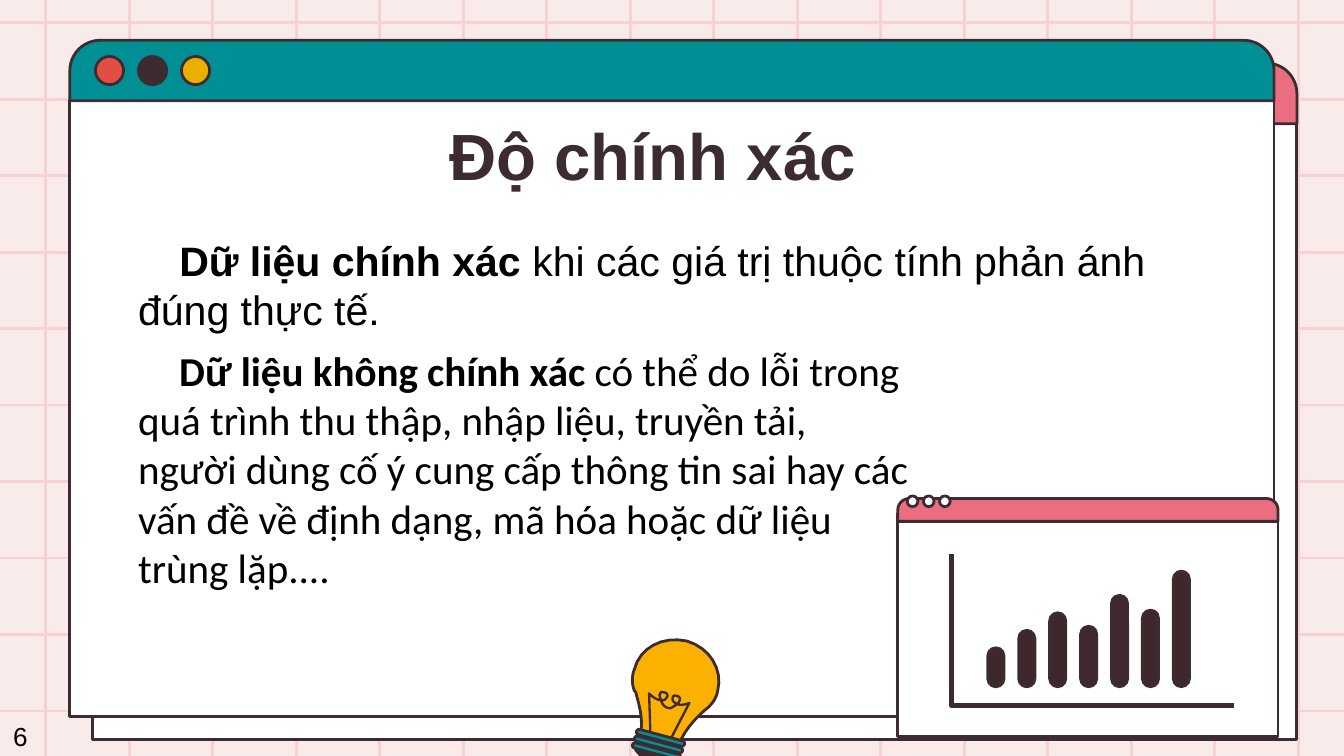
import pptx
import pptx.dml.color
import pptx.enum.shapes
import pptx.enum.text
import pptx.oxml.ns
import pptx.util
from lxml import etree
from pptx.util import Inches

RGBColor = pptx.dml.color.RGBColor
Preset = pptx.enum.shapes.MSO_SHAPE
BLACK = RGBColor(0x00, 0x00, 0x00)
WHITE = RGBColor(0xFF, 0xFF, 0xFF)
BLUSH = RGBColor(0xFA, 0xEB, 0xEB)
GRID_PINK = RGBColor(0xF8, 0xD2, 0xD2)
PINK = RGBColor(0xEB, 0x6E, 0x80)
TEAL = RGBColor(0x00, 0x8F, 0x95)
BAND_TEAL = RGBColor(0x00, 0x90, 0x96)
RED = RGBColor(0xE2, 0x4E, 0x42)
YELLOW = RGBColor(0xE9, 0xB0, 0x00)
BULB_YELLOW = RGBColor(0xFC, 0xB1, 0x00)
OUTLINE = RGBColor(0x3C, 0x2C, 0x31)
DARK = RGBColor(0x3E, 0x28, 0x2C)

WIDTH = 10
HEIGHT = WIDTH * 9 / 16
BAR_HEIGHTS = [0.29, 0.42, 0.55, 0.45, 0.68, 0.57, 0.86]
BULB_GLASS = [
    (5.34, 5.14), (5.38, 4.98, 5.28, 4.82, 5.11, 4.77),
    (4.93, 4.73, 4.76, 4.82, 4.72, 4.98), (4.7, 5.03, 4.7, 5.09, 4.72, 5.14),
    (4.73, 5.15), (4.74, 5.2, 4.8, 5.36, 4.76, 5.48), (5.05, 5.55),
    (5.09, 5.41, 5.25, 5.28, 5.25, 5.28), (5.29, 5.25, 5.33, 5.2, 5.34, 5.14),
]
BULB_SCREW = [
    (4.89, 5.48), (4.77, 5.45), (4.73, 5.58), (4.8, 5.66),
    (4.93, 5.7), (5.03, 5.66), (5.07, 5.53),
]
FILAMENT = [
    (4.84, 5.46), (4.83, 5.16), (4.84, 5.17, 4.88, 5.21, 4.92, 5.21),
    (4.94, 5.21, 4.95, 5.21, 4.96, 5.19), (4.97, 5.18, 4.97, 5.17, 4.96, 5.16),
    (4.95, 5.15, 4.93, 5.15, 4.92, 5.15), (4.91, 5.16, 4.9, 5.17, 4.92, 5.21),
    (4.93, 5.26, 4.97, 5.27, 4.99, 5.27), (5.01, 5.26, 5.02, 5.25, 5.04, 5.24),
    (5.05, 5.23, 5.06, 5.21, 5.06, 5.2), (5.06, 5.19, 5.05, 5.18, 5.04, 5.18),
    (5.02, 5.17, 5.01, 5.18, 5.01, 5.18), (5, 5.2, 5, 5.22, 5.04, 5.24),
    (5.07, 5.25, 5.11, 5.24, 5.13, 5.23), (4.99, 5.5),
]


def style_shape(shape, fill, line_width=1.5):
    """Apply a flat fill, or none, and the dark outline."""
    shape.shadow.inherit = False
    if fill is None:
        shape.fill.background()
    else:
        shape.fill.solid()
        shape.fill.fore_color.rgb = fill
    shape.line.color.rgb = OUTLINE
    shape.line.width = pptx.util.Pt(line_width)


def add_preset(slide, preset, left, top, width, height, fill):
    """Add an outlined preset shape, fully rounded where it has corners to round."""
    shape = slide.shapes.add_shape(
        preset, Inches(left), Inches(top), Inches(width), Inches(height))
    if len(shape.adjustments):
        shape.adjustments[0] = 0.5
    style_shape(shape, fill)
    return shape


def trace(segments, steps=8):
    """Turn line ends and cubic curves into a list of points."""
    points = [segments[0]]
    for segment in segments[1:]:
        if len(segment) == 2:
            points.append(segment)
            continue
        x0, y0 = points[-1]
        x1, y1, x2, y2, x3, y3 = segment
        for step in range(1, steps + 1):
            t = step / steps
            a, b, c, d = (1 - t) ** 3, 3 * t * (1 - t) ** 2, 3 * t * t * (1 - t), t ** 3
            points.append((a * x0 + b * x1 + c * x2 + d * x3,
                           a * y0 + b * y1 + c * y2 + d * y3))
    return points


def add_outline(slide, segments, fill=None, line_width=1.5):
    """Add a freeform, closed when it has a fill."""
    points = [(Inches(x), Inches(y)) for x, y in trace(segments)]
    builder = slide.shapes.build_freeform(*points[0])
    builder.add_line_segments(points[1:], close=fill is not None)
    style_shape(builder.convert_to_shape(), fill, line_width)


def add_grid_line(slide, x1, y1, x2, y2):
    """Add one pale line of the background grid."""
    line = slide.shapes.add_connector(
        pptx.enum.shapes.MSO_CONNECTOR.STRAIGHT,
        Inches(x1), Inches(y1), Inches(x2), Inches(y2))
    line.line.color.rgb = GRID_PINK
    line.line.width = pptx.util.Pt(1.5)
    etree.SubElement(line._element.spPr, pptx.oxml.ns.qn("a:effectLst"))


def add_grid(slide):
    """Cover the background with evenly spaced lines."""
    for column in range(16):
        x = 0.34 + column * 9.32 / 15
        add_grid_line(slide, x, 0, x, HEIGHT)
    for row in range(10):
        y = 0.17 + row * 5.12 / 9
        add_grid_line(slide, 0, y, WIDTH, y)


def add_window(slide, left, top, bar_color):
    """Add a large browser window with three buttons."""
    add_preset(slide, Preset.RECTANGLE, left, top + 0.45, 8.96, 4.58, WHITE)
    add_preset(slide, Preset.ROUND_2_SAME_RECTANGLE, left, top, 8.96, 0.45, bar_color)
    for index, color in enumerate([RED, OUTLINE, YELLOW]):
        add_preset(slide, Preset.OVAL, left + 0.19 + index * 0.32, top + 0.12,
                   0.21, 0.21, color)


def add_bar_window(slide):
    """Add the small window with its decorative bars."""
    add_preset(slide, Preset.RECTANGLE, 6.68, 3.82, 2.83, 1.66, WHITE)
    add_preset(slide, Preset.ROUND_2_SAME_RECTANGLE, 6.68, 3.71, 2.83, 0.17, PINK)
    for index in range(3):
        add_preset(slide, Preset.OVAL, 6.75 + index * 0.12, 3.69, 0.08, 0.08, WHITE)
    add_outline(slide, [(7.08, 4.12), (7.08, 5.25), (9.18, 5.25)], line_width=2.75)
    for index, height in enumerate(BAR_HEIGHTS):
        add_preset(slide, Preset.ROUNDED_RECTANGLE, 7.35 + index * 0.23, 5.11 - height,
                   0.12, height, DARK)


def add_bulb(slide):
    """Add the tilted light bulb."""
    add_outline(slide, BULB_GLASS, BULB_YELLOW)
    add_outline(slide, BULB_SCREW, DARK)
    add_outline(slide, FILAMENT, line_width=1.25)
    for index in range(3):
        band = add_preset(slide, Preset.ROUNDED_RECTANGLE, 4.73 - index * 0.015,
                          5.47 + index * 0.05, 0.37, 0.04, BAND_TEAL)
        band.rotation = 15


def add_text(slide, box, runs, size, font="Arial", color=BLACK, indent=0):
    """Add a wrapped paragraph made of (text, bold) runs."""
    shape = slide.shapes.add_textbox(*[Inches(length) for length in box])
    shape.text_frame.word_wrap = True
    paragraph = shape.text_frame.paragraphs[0]
    if indent:
        paragraph._p.get_or_add_pPr().set("indent", str(pptx.util.Pt(indent)))
    paragraph.font.name = font
    paragraph.font.size = pptx.util.Pt(size)
    paragraph.font.color.rgb = color
    for text, bold in runs:
        run = paragraph.add_run()
        run.text = text
        run.font.bold = bold
    return shape


def main():
    """Build the slide and save it."""
    presentation = pptx.Presentation()
    presentation.slide_width = Inches(WIDTH)
    presentation.slide_height = Inches(HEIGHT)
    slide = presentation.slides.add_slide(presentation.slide_layouts[6])
    slide.background.fill.solid()
    slide.background.fill.fore_color.rgb = BLUSH
    add_grid(slide)
    add_window(slide, 0.69, 0.47, PINK)
    add_window(slide, 0.52, 0.3, TEAL)
    add_bar_window(slide)
    title = add_text(slide, (3.04, 0.46, 3.43, 1.38), [("Độ chính xác", True)],
                     35, color=OUTLINE)
    title.text_frame.vertical_anchor = pptx.enum.text.MSO_ANCHOR.MIDDLE
    title.text_frame.paragraphs[0].alignment = pptx.enum.text.PP_ALIGN.RIGHT
    add_text(slide, (0.93, 1.7, 8.35, 0.84), [
        ("Dữ liệu chính xác ", True),
        ("khi các giá trị thuộc tính phản ánh đúng thực tế.", False)], 22, indent=22)
    add_bulb(slide)
    add_text(slide, (0.93, 2.52, 5.97, 1.95), [
        ("Dữ liệu không chính xác ", True),
        ("có thể do lỗi trong quá trình thu thập, nhập liệu, truyền tải, "
         "người dùng cố ý cung cấp thông tin sai hay các vấn đề về định dạng, "
         "mã hóa hoặc dữ liệu trùng lặp....", False)], 22, "Calibri", indent=22)
    add_text(slide, (0, 5.31, 0.31, 0.34), [("6", False)], 14)
    presentation.save("out.pptx")


if __name__ == "__main__":
    main()
